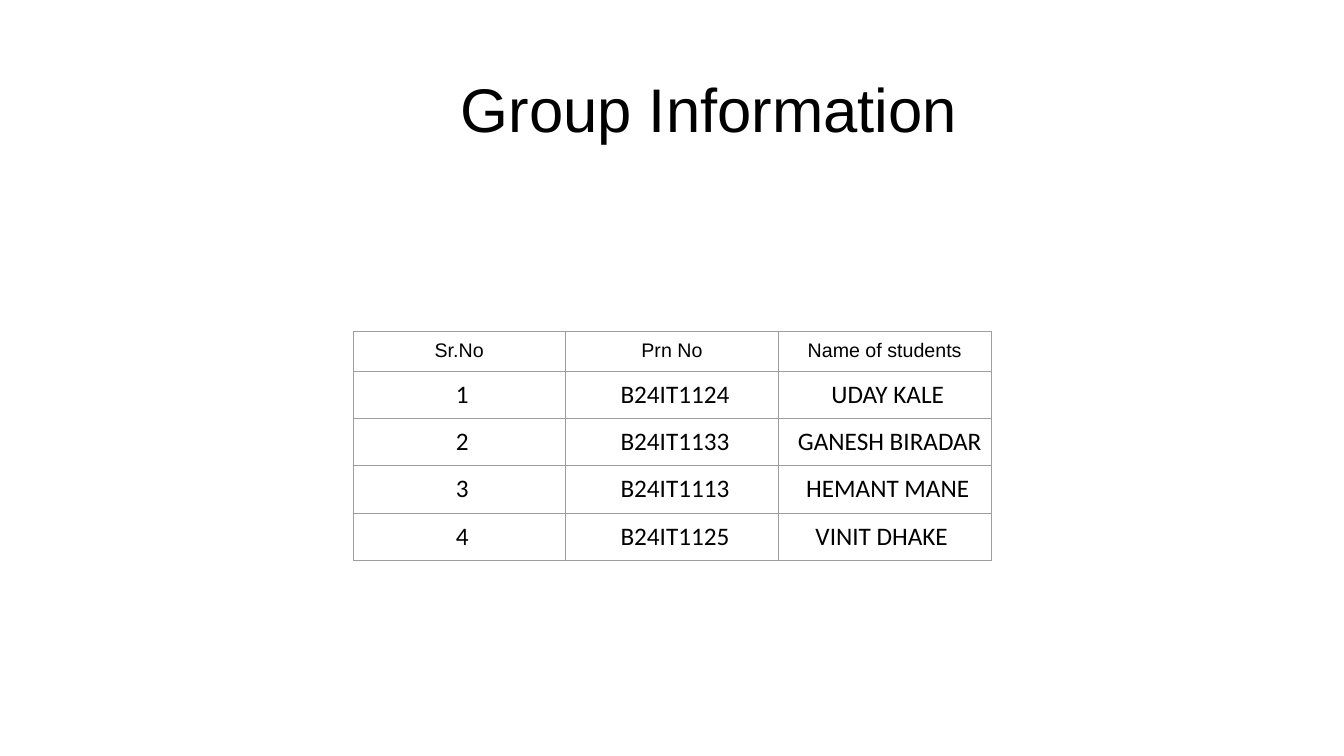
import pptx
import pptx.dml.color
import pptx.enum.text
import pptx.oxml
import pptx.oxml.ns
import pptx.util

Inches = pptx.util.Inches
HEADERS = ["Sr.No", "Prn No", "Name of students"]
STUDENTS = [
    ("1", "B24IT1124", "UDAY KALE"),
    ("2", "B24IT1133", "GANESH BIRADAR"),
    ("3", "B24IT1113", "HEMANT MANE"),
    ("4", "B24IT1125", "VINIT DHAKE"),
]
PADDING = 0.08
NUDGE = 0.06
# Left and right padding of names that sit differently from the other cells
NAME_PADDING = {
    "GANESH BIRADAR": (0.18, PADDING),
    "VINIT DHAKE": (PADDING, PADDING + NUDGE),
}


def color(hex_string):
    return pptx.dml.color.RGBColor.from_string(hex_string)


def write_text(text_frame, text, font="Arial", size=14, fill="000000"):
    paragraph = text_frame.paragraphs[0]
    paragraph.alignment = pptx.enum.text.PP_ALIGN.CENTER
    run = paragraph.add_run()
    run.text = text
    run.font.name = font
    run.font.size = pptx.util.Pt(size)
    run.font.color.rgb = color(fill)


def add_borders(cell, hex_string="9E9E9E", width=0.6):
    properties = cell._tc.get_or_add_tcPr()
    namespace = pptx.oxml.ns.nsdecls("a")
    for position, side in enumerate(("lnL", "lnR", "lnT", "lnB")):
        line = pptx.oxml.parse_xml(
            f'<a:{side} {namespace} w="{pptx.util.Pt(width)}"><a:solidFill>'
            f'<a:srgbClr val="{hex_string}"/></a:solidFill></a:{side}>')
        properties.insert(position, line)


def fill_cell(cell, text, padding, **text_format):
    left, right = padding
    cell.margin_left, cell.margin_right = Inches(left), Inches(right)
    cell.margin_top = cell.margin_bottom = Inches(PADDING)
    cell.fill.background()
    add_borders(cell)
    write_text(cell.text_frame, text, **text_format)


def place_title(slide, left, top, width, height):
    title = slide.shapes.title
    title.left, title.top = Inches(left), Inches(top)
    title.width, title.height = Inches(width), Inches(height)
    title.text_frame.word_wrap = True
    title.text_frame.vertical_anchor = pptx.enum.text.MSO_ANCHOR.MIDDLE
    write_text(title.text_frame, "Group Information", size=44)


def place_student_table(slide, left, top, width, height, header_height=0.39):
    frame = slide.shapes.add_table(
        len(STUDENTS) + 1, len(HEADERS),
        Inches(left), Inches(top), Inches(width), Inches(height))
    table = frame.table
    table.first_row = table.horz_banding = False

    # Row heights
    table.rows[0].height = Inches(header_height)
    for row_index in range(1, len(STUDENTS) + 1):
        table.rows[row_index].height = Inches(
            (height - header_height) / len(STUDENTS))

    # Header row
    for column, header in enumerate(HEADERS):
        fill_cell(table.cell(0, column), header, (PADDING, PADDING))

    # Student rows
    for row_index, student in enumerate(STUDENTS, start=1):
        for column, value in enumerate(student):
            padding = NAME_PADDING.get(value, (PADDING + NUDGE, PADDING))
            fill_cell(table.cell(row_index, column), value, padding,
                      font="Calibri", size=18)


def main():
    presentation = pptx.Presentation()
    presentation.slide_width = Inches(13.33)
    presentation.slide_height = Inches(7.5)
    title_only = presentation.slide_layouts[5]
    slide = presentation.slides.add_slide(title_only)
    slide.background.fill.solid()
    slide.background.fill.fore_color.rgb = color("FFFFFF")
    place_student_table(slide, 3.5, 3.29, 6.33, 2.27)
    place_title(slide, 3.5, 0.65, 7.07, 0.84)
    presentation.save("out.pptx")


if __name__ == "__main__":
    main()
